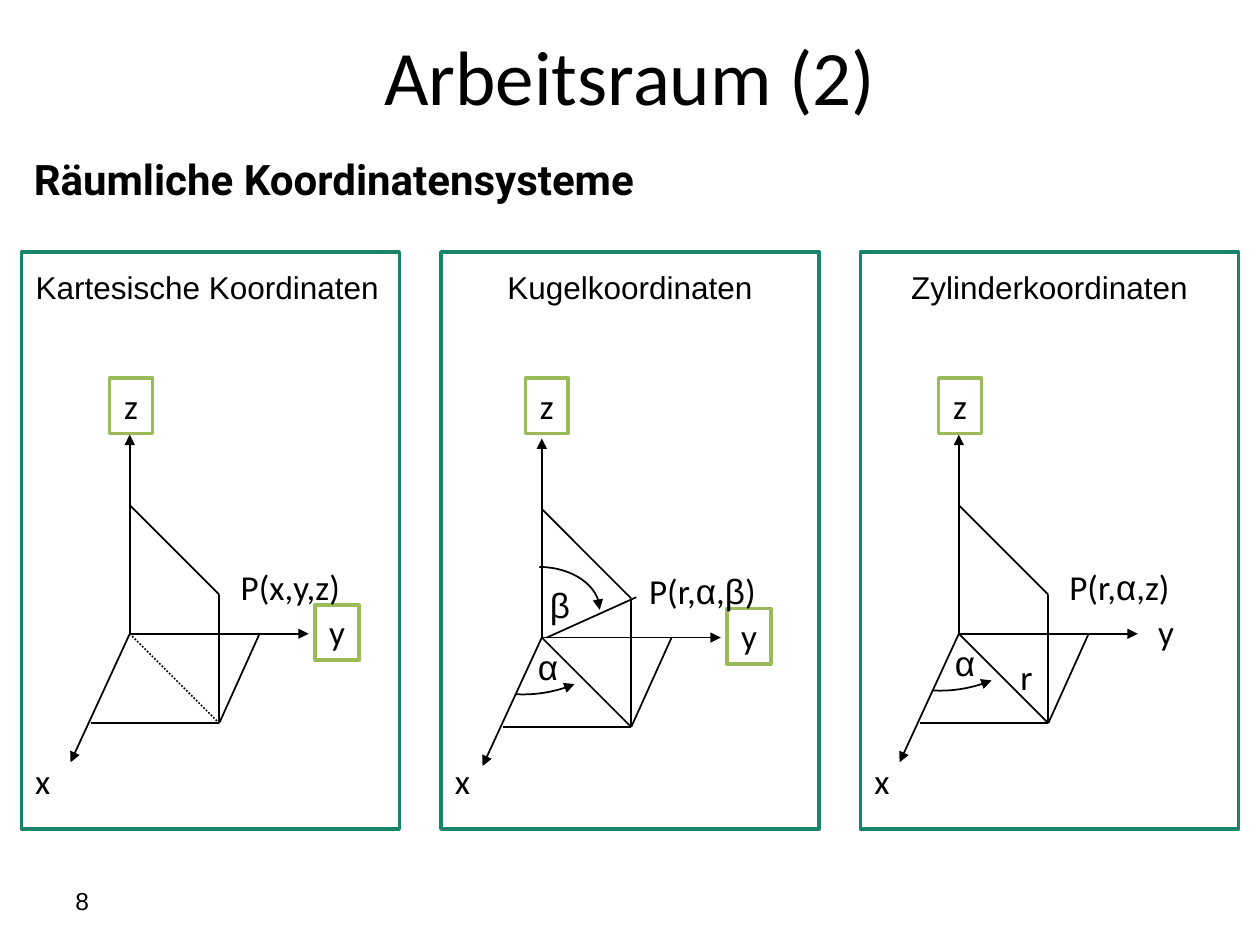
"""Build the slide on Cartesian, spherical and cylindrical coordinates."""
from itertools import groupby

from lxml import etree
from pptx import Presentation
from pptx.dml.color import RGBColor
from pptx.enum.dml import MSO_LINE
from pptx.enum.shapes import MSO_CONNECTOR, MSO_SHAPE
from pptx.enum.text import MSO_ANCHOR, PP_ALIGN
from pptx.oxml.ns import qn
from pptx.util import Inches, Pt

RECT = MSO_SHAPE.RECTANGLE
STRAIGHT = MSO_CONNECTOR.STRAIGHT
DOTTED = MSO_LINE.ROUND_DOT
LEFT, CENTER = PP_ALIGN.LEFT, PP_ALIGN.CENTER
TOP, MIDDLE = MSO_ANCHOR.TOP, MSO_ANCHOR.MIDDLE

COLORS = {name: RGBColor.from_string(value) for name, value in {
    "black": "000000", "white": "FFFFFF", "panel": "18856A", "label": "9BBB59",
}.items()}

prs = Presentation()
prs.slide_width, prs.slide_height = Inches(10), Inches(7.5)
s = prs.slides.add_slide(prs.slide_layouts[6])


def add_text(text, box, size=20, font="Calibri", align=CENTER, anchor=TOP,
             wrap=False, bold=False, border=None):
    """Add a text box, with Greek letters in Arial and an optional border."""
    sp = s.shapes.add_textbox(*map(Inches, box))
    if border:
        sp.fill.solid()
        sp.fill.fore_color.rgb = COLORS["white"]
        sp.line.color.rgb = COLORS[border]
        sp.line.width = Pt(2)
    tf = sp.text_frame
    tf.word_wrap, tf.vertical_anchor = wrap, anchor
    p = tf.paragraphs[0]
    p.alignment = align
    for greek, chars in groupby(text, lambda c: c in "αβ"):
        r = p.add_run()
        r.text = "".join(chars)
        r.font.name = "Arial" if greek else font
        r.font.size, r.font.bold = Pt(size), bold
        r.font.color.rgb = COLORS["black"]


def style_line(sp, arrow=False):
    """Make a thin black line without shadow, with an optional arrowhead."""
    sp.line.color.rgb = COLORS["black"]
    sp.line.width = Pt(1)
    if arrow:
        ln = sp.line._get_or_add_ln()
        etree.SubElement(ln, qn("a:tailEnd"), type="triangle")


add_text("Arbeitsraum (2)", (0.5, -0.03, 9, 1.25), 44, anchor=MIDDLE, wrap=True)
add_text("8", (0.5, 6.95, 2.33, 0.4), 14, "Arial", LEFT, MIDDLE, wrap=True)
add_text("Räumliche Koordinatensysteme", (0.17, 1.17, 5.33, 0.51), 24, "Roboto",
         LEFT, wrap=True, bold=True)

AXES = [((0, 0), (0, -1.58)), ((0, 0), (1.42, 0)), ((0, 0), (-0.47, 1.02))]
DIAGONAL = ((0, 0), (0.71, 0.71))
EDGES = [((-0.31, 0.71), (0.71, 0.71)), ((1.03, 0), (0.71, 0.71)), DIAGONAL,
         ((0, -1.02), (0.71, -0.31)), ((0.71, 0.71), (0.71, -0.31))]
RADIUS = ((0.04, 0), (0.75, -0.32))
ALPHA_ARC = ((-0.21, 0.45), (-0.05, 0.46), (0.12, 0.43), (0.26, 0.37))
BETA_ARC = ((-0.02, -0.56), (0.24, -0.56), (0.46, -0.41), (0.46, -0.22))
ALPHA = ("α", -0.13, 0.01, 0.35)
BETA = ("β", -0.04, -0.48, 0.37)
R = ("r", 0.39, 0.12, 0.29)
STEPS = 16

systems = [
    ("Kartesische Koordinaten", 2.95, "P(x,y,z)", (1.03, 5.03), 0.87, "label",
     [], [], []),
    ("Kugelkoordinaten", 3, "P(r,α,β)", (4.3, 5.06), 4.17, "label",
     [RADIUS], [ALPHA_ARC, BETA_ARC], [ALPHA, BETA]),
    ("Zylinderkoordinaten", 3, "P(r,α,z)", (7.61, 5.03), 7.45, None,
     [], [ALPHA_ARC], [ALPHA, R]),
]

for i, (name, width, point, (ox, oy), z_left, y_border,
        extra, arcs, letters) in enumerate(systems):
    left = 0.17 + i * 3.33
    sp = s.shapes.add_shape(RECT, *map(Inches, (left, 2, 3, 4.58)))
    sp.shadow.inherit = False
    sp.fill.background()
    sp.line.color.rgb = COLORS["panel"]
    sp.line.width = Pt(2)
    add_text(name, (left, 2.08, width, 0.4), 18, "Arial")
    add_text("z", (z_left, 3, 0.34, 0.44), border="label")
    add_text("x", (left, 5.98, 0.34, 0.44))

    for line in AXES + EDGES + extra:
        (x1, y1), (x2, y2) = line
        sp = s.shapes.add_connector(STRAIGHT, Inches(ox + x1), Inches(oy + y1),
                                    Inches(ox + x2), Inches(oy + y2))
        etree.SubElement(sp._element.spPr, qn("a:effectLst"))
        if line == DIAGONAL and i == 0:
            sp.line.dash_style = DOTTED
        style_line(sp, arrow=line in AXES)

    for arc in arcs:
        points = []
        for k in range(STEPS + 1):
            t = k / STEPS
            weights = ((1 - t) ** 3, 3 * t * (1 - t) ** 2, 3 * t * t * (1 - t), t ** 3)
            x, y = (sum(w * c for w, c in zip(weights, axis)) for axis in zip(*arc))
            points.append((Inches(ox + x), Inches(oy + y)))
        builder = s.shapes.build_freeform(*points[0])
        builder.add_line_segments(points[1:], close=False)
        sp = builder.convert_to_shape()
        sp.shadow.inherit = False
        sp.fill.background()
        style_line(sp, arrow=True)

    add_text("y", (ox + 1.47, oy - 0.23, 0.35, 0.44), border=y_border)
    add_text(point, (ox + 0.71, oy - 0.59, 1.13, 0.44))
    for letter, dx, dy, w in letters:
        add_text(letter, (ox + dx, oy + dy, w, 0.44))

prs.save("out.pptx")
